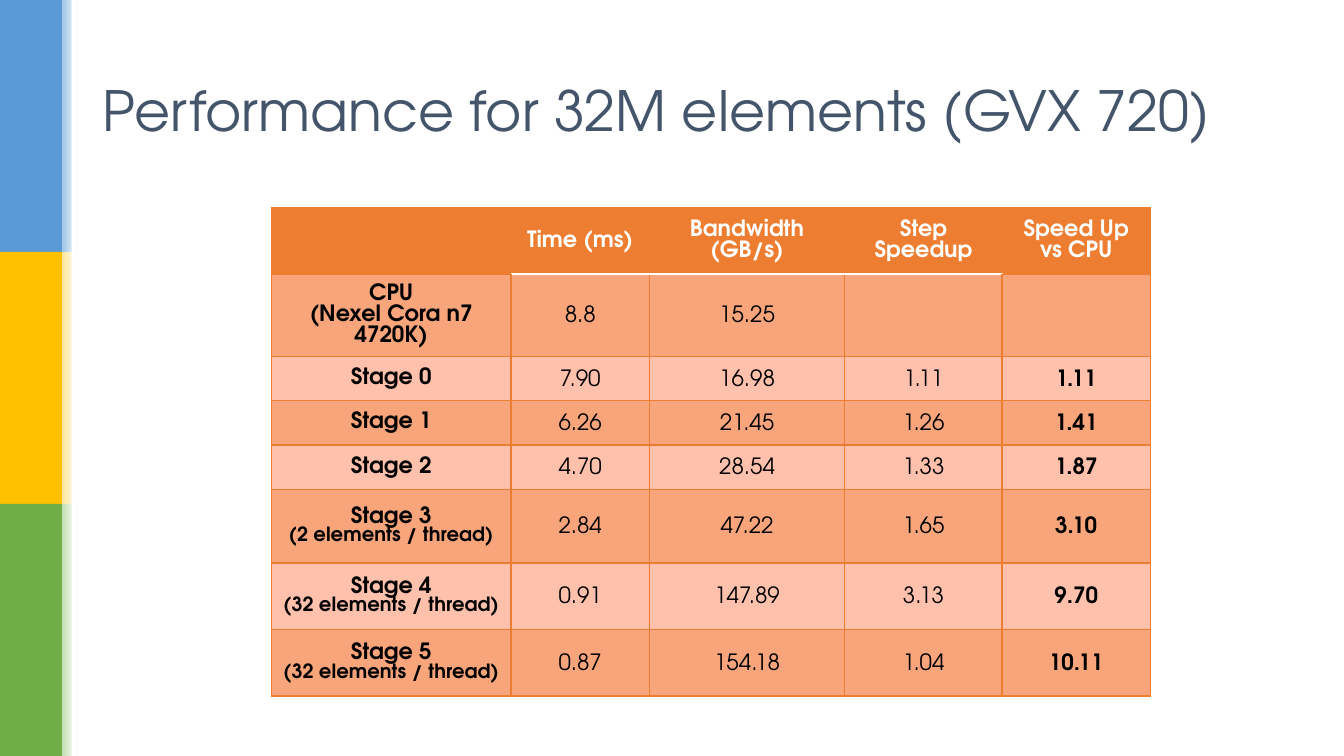
from lxml import etree
from pptx import Presentation
from pptx.dml.color import RGBColor
from pptx.enum import shapes, text
from pptx.oxml.ns import qn
from pptx.util import Inches, Pt

FONT = "TeX Gyre Adventor"
ORANGE, DARK_ROW, LIGHT_ROW = "ED7D31", "F8A57B", "FFC0AC"
BANDS = [("5B9BD5", "9DC3E6"), ("FFC000", "FFE699"), ("70AD47", "C5E0B4")]
COLS = [2.38, 1.37, 1.94, 1.56, 1.47]
ROWS = [0.66, 0.66, 0.44, 0.44, 0.44, 0.73, 0.66, 0.66]
DATA = [
    ["", "Time (ms)", "Bandwidth (GB/s)", "Step Speedup", "Speed Up vs CPU"],
    ["CPU\n(Nexel Cora n7 4720K)", "8.8", "15.25", "", ""],
    ["Stage 0", "7.90", "16.98", "1.11", "1.11"],
    ["Stage 1", "6.26", "21.45", "1.26", "1.41"],
    ["Stage 2", "4.70", "28.54", "1.33", "1.87"],
    ["Stage 3\n(2 elements / thread)", "2.84", "47.22", "1.65", "3.10"],
    ["Stage 4\n(32 elements / thread)", "0.91", "147.89", "3.13", "9.70"],
    ["Stage 5\n(32 elements / thread)", "0.87", "154.18", "1.04", "10.11"],
]


def rgb(color):
    """Turn a hex string into a colour."""
    return RGBColor.from_string(color)


def write(p, words, size=16, color="000000", bold=False,
          align=text.PP_ALIGN.CENTER, spacing=1.0):
    """Write one formatted run into a paragraph."""
    p.alignment, p.line_spacing = align, spacing
    r = p.add_run()
    r.text = words
    r.font.name, r.font.size, r.font.bold = FONT, Pt(size), bold
    r.font.color.rgb = rgb(color)


def add_rect(s, left, top, width, height, color, fade=None):
    """Add a borderless rectangle, optionally fading to a second colour."""
    sp = s.shapes.add_shape(shapes.MSO_SHAPE.RECTANGLE, Inches(left), Inches(top),
                            Inches(width), Inches(height))
    sp.shadow.inherit = False
    sp.line.fill.background()
    if fade:
        sp.fill.gradient()
        sp.fill.gradient_angle = 0
        for stop, tone in zip(sp.fill.gradient_stops, (color, fade)):
            stop.color.rgb = rgb(tone)
    else:
        sp.fill.solid()
        sp.fill.fore_color.rgb = rgb(color)


def add_sidebar(s, left, top, width, height):
    """Stack the coloured bands with their fading edges."""
    step = height / len(BANDS)
    for i, (color, tint) in enumerate(BANDS):
        y = top + i * step
        add_rect(s, left, y, width, step, color)
        add_rect(s, left + width, y, 0.16, step, tint, fade="FFFFFF")
    add_rect(s, left + width + 0.09, top, 0.05, height, "FFFFFF")


def add_title(s, left, top, width, height, words):
    """Place and format the title placeholder."""
    sp = s.shapes.title
    sp.left, sp.top = Inches(left), Inches(top)
    sp.width, sp.height = Inches(width), Inches(height)
    tf = sp.text_frame
    tf.word_wrap, tf.vertical_anchor = True, text.MSO_ANCHOR.MIDDLE
    write(tf.paragraphs[0], words, size=39.6, color="44546A",
          align=text.PP_ALIGN.LEFT, spacing=0.9)


def set_border(cell, side, color, width):
    """Draw one side of a cell."""
    ln = etree.SubElement(cell._tc.get_or_add_tcPr(), qn("a:ln" + side), w=str(Pt(width)))
    fill = etree.SubElement(ln, qn("a:solidFill"))
    etree.SubElement(fill, qn("a:srgbClr"), val=color)


def format_cell(cell, row, col, words):
    """Fill one cell with its text, borders and background."""
    header, label, last = row == 0, col == 0, col == len(COLS) - 1
    inner = 0 < col < len(COLS) - 1
    for side in "LRTB":
        thick = not header and (label and side == "R" or last and side == "L")
        white = inner and (header and side == "B" or row == 1 and side == "T")
        set_border(cell, side, "FFFFFF" if white else ORANGE, 1.5 if thick or white else 1)
    cell.fill.solid()
    cell.fill.fore_color.rgb = rgb(ORANGE if header else DARK_ROW if row % 2 else LIGHT_ROW)
    cell.vertical_anchor = text.MSO_ANCHOR.MIDDLE
    cell.margin_left = cell.margin_right = Inches(0.1)
    cell.margin_top = cell.margin_bottom = Inches(0.1)
    if not words:
        return
    tf = cell.text_frame
    for i, line in enumerate(words.split("\n")):
        p = tf.add_paragraph() if i else tf.paragraphs[0]
        write(p, line, size=14 if "thread" in line else 16,
              color="FFFFFF" if header else "000000", bold=header or label or last,
              spacing=1.0 if header or label else 1.15)


def add_results(s, left, top, width, height):
    """Build the results table."""
    table = s.shapes.add_table(len(ROWS), len(COLS), Inches(left), Inches(top),
                               Inches(width), Inches(height)).table
    for column, size in zip(table.columns, COLS):
        column.width = Inches(size)
    for row, size in zip(table.rows, ROWS):
        row.height = Inches(size)
    for i, values in enumerate(DATA):
        for j, words in enumerate(values):
            format_cell(table.cell(i, j), i, j, words)


def main():
    """Build and save the slide."""
    prs = Presentation()
    prs.slide_width, prs.slide_height = Inches(13.33), Inches(7.5)
    s = prs.slides.add_slide(prs.slide_layouts[5])
    add_sidebar(s, 0, 0, 0.62, 7.5)
    add_title(s, 0.92, 0.4, 11.5, 1.45, "Performance for 32M elements (GVX 720)")
    add_results(s, 2.69, 2.06, sum(COLS), sum(ROWS))
    prs.save("out.pptx")


if __name__ == "__main__":
    main()
